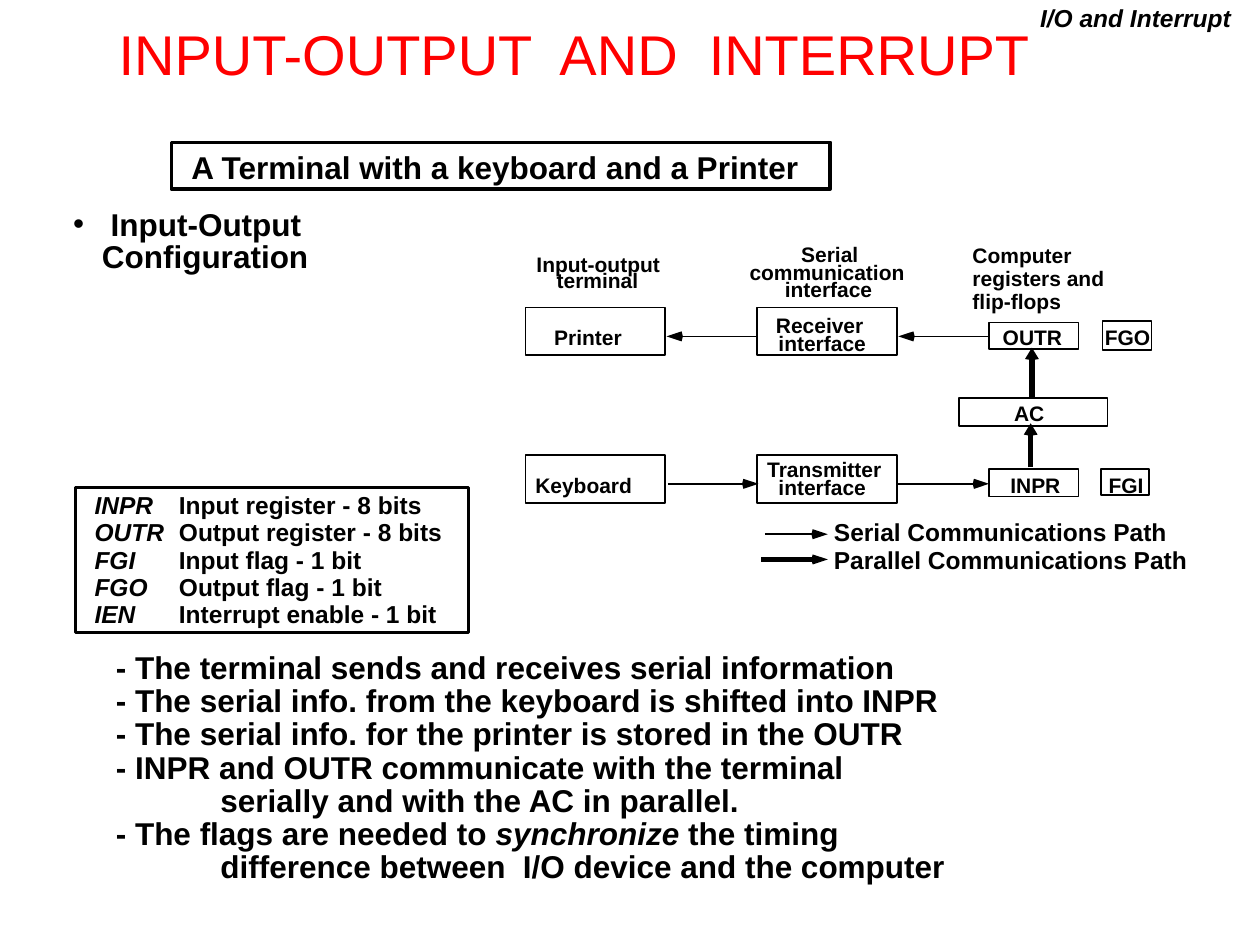
from dataclasses import dataclass
from math import hypot

from lxml import etree
from pptx import Presentation
from pptx.dml.color import RGBColor
from pptx.enum.shapes import MSO_CONNECTOR, MSO_SHAPE
from pptx.enum.text import MSO_AUTO_SIZE, PP_ALIGN
from pptx.oxml.ns import qn
from pptx.util import Inches, Pt

STRAIGHT = MSO_CONNECTOR.STRAIGHT
RECTANGLE = MSO_SHAPE.RECTANGLE
FIT_SHAPE = MSO_AUTO_SIZE.SHAPE_TO_FIT_TEXT
LEFT, CENTER, RIGHT = PP_ALIGN.LEFT, PP_ALIGN.CENTER, PP_ALIGN.RIGHT
COLORS = {"ink": "000000", "title": "FF0000"}
FONT = "Arial"


@dataclass(frozen=True)
class Span:
    text: str
    italic: bool = False


@dataclass(frozen=True)
class Line:
    spans: tuple[Span, ...]
    margin: float = 0
    indent: float = 0
    bullet: str = ""


@dataclass(frozen=True)
class TextBlock:
    lines: tuple[Line, ...]
    left: float
    top: float
    width: float
    height: float = 0.28
    size: int = 12
    color: str = "ink"
    bold: bool = True
    align: PP_ALIGN = LEFT
    spacing: float = 0.9
    inset: tuple[float, float] = (0.1, 0.05)
    wrap: bool = False


@dataclass(frozen=True)
class Frame:
    left: float
    top: float
    width: float
    height: float
    weight: float = 1


@dataclass(frozen=True)
class Arrow:
    start: tuple[float, float]
    tip: tuple[float, float]
    weight: float = 1
    head_length: float = 0.13
    head_width: float = 0.08


def plain(text: str, margin: float = 0) -> Line:
    return Line((Span(text),), margin)


def register(name: str, meaning: str) -> Line:
    return Line((Span(f"{name}\t", True), Span(meaning)), 0.67, -0.67)


def label(text: str, left: float, top: float, width: float, size: int = 12) -> TextBlock:
    return TextBlock((plain(text),), left, top, width, size=size)


def color_of(name: str) -> RGBColor:
    return RGBColor.from_string(COLORS[name])


def add_text(page, block: TextBlock) -> None:
    box = page.shapes.add_textbox(
        Inches(block.left), Inches(block.top), Inches(block.width), Inches(block.height)
    )
    frame = box.text_frame
    frame.word_wrap = block.wrap
    frame.auto_size = FIT_SHAPE
    frame.margin_left = frame.margin_right = Inches(block.inset[0])
    frame.margin_top = frame.margin_bottom = Inches(block.inset[1])
    for index, line in enumerate(block.lines):
        para = frame.add_paragraph() if index else frame.paragraphs[0]
        para.alignment = block.align
        para.line_spacing = block.spacing
        properties = para._p.get_or_add_pPr()
        properties.set("marL", str(Inches(line.margin)))
        properties.set("indent", str(Inches(line.indent)))
        if line.bullet:
            etree.SubElement(properties, qn("a:buFont")).set("typeface", FONT)
            etree.SubElement(properties, qn("a:buChar")).set("char", line.bullet)
        para.font.name = FONT
        para.font.size = Pt(block.size)
        para.font.bold = block.bold
        para.font.color.rgb = color_of(block.color)
        for span in line.spans:
            run = para.add_run()
            run.text = span.text
            if span.italic:
                run.font.italic = True


def add_frame(page, frame: Frame) -> None:
    box = page.shapes.add_shape(
        RECTANGLE, Inches(frame.left), Inches(frame.top), Inches(frame.width), Inches(frame.height)
    )
    box.shadow.inherit = False
    box.fill.background()
    box.line.color.rgb = color_of("ink")
    box.line.width = Pt(frame.weight)


def add_arrow(page, arrow: Arrow) -> None:
    (x1, y1), (x2, y2) = arrow.start, arrow.tip
    length = hypot(x2 - x1, y2 - y1)
    dx, dy = (x2 - x1) / length, (y2 - y1) / length

    def from_tip(back: float, side: float) -> tuple[int, int]:
        return Inches(x2 - back * dx - side * dy), Inches(y2 - back * dy + side * dx)

    shaft = page.shapes.add_connector(
        STRAIGHT, Inches(x1), Inches(y1), *from_tip(arrow.head_length - 0.02, 0)
    )
    shaft.line.color.rgb = color_of("ink")
    shaft.line.width = Pt(arrow.weight)
    etree.SubElement(shaft._element.spPr, qn("a:effectLst"))

    half, shoulder = arrow.head_width / 2, arrow.head_length - 0.01
    builder = page.shapes.build_freeform(*from_tip(0, 0), scale=1.0)
    builder.add_line_segments(
        [from_tip(shoulder, half), from_tip(arrow.head_length, 0), from_tip(shoulder, -half)],
        close=True,
    )
    head = builder.convert_to_shape()
    head.shadow.inherit = False
    head.fill.solid()
    head.fill.fore_color.rgb = color_of("ink")
    head.line.fill.background()


TIGHT = (0.07, 0.03)
TEXT_BLOCKS = [
    TextBlock((plain("INPUT-OUTPUT  AND  INTERRUPT"),), 0.38, 0.2, 8.36, 0.52, 32, "title",
              False, CENTER, 0.87, TIGHT, True),
    TextBlock((Line((Span("I/O and Interrupt", True),)),), 8.13, 0, 1.74, 0.31, 14, align=RIGHT),
    label("A Terminal with a keyboard and a Printer", 1.42, 1.16, 5.05, 18),
    TextBlock((Line((Span(" Input-Output Configuration"),), 0.23, -0.23, "•"),),
              0.51, 1.64, 3.4, 0.56, 18, spacing=0.85, inset=TIGHT, wrap=True),
    TextBlock((
        register("INPR", "Input register - 8 bits"),
        register("OUTR", "Output register - 8 bits"),
        register("FGI", "Input flag - 1 bit"),
        register("FGO", "Output flag - 1 bit"),
        register("IEN", "Interrupt enable - 1 bit"),
    ), 0.68, 3.88, 4.25, 1.14, 14, spacing=0.93, inset=TIGHT, wrap=True),
    TextBlock((
        plain("- The terminal sends and receives serial information"),
        plain("- The serial info. from the keyboard is shifted into INPR"),
        plain("- The serial info. for the printer is stored in the OUTR"),
        plain("- INPR and OUTR communicate with the terminal"),
        plain("serially and with the AC in parallel.", 0.83),
        Line((Span("- The flags are needed to "), Span("synchronize", True), Span(" the timing"))),
        plain("difference between  I/O device and the computer", 0.83),
    ), 0.85, 5.15, 6.74, 1.91, 18, spacing=0.88, inset=TIGHT, wrap=True),
    TextBlock((plain("Computer"), plain("registers and"), plain("flip-flops")),
              7.62, 1.9, 1.27, 0.82),
    label("Input-output", 4.16, 1.97, 1.2),
    label("terminal", 4.32, 2.1, 0.87),
    label("Serial", 6.26, 1.89, 0.68),
    label("communication", 5.85, 2.03, 1.45),
    label("interface", 6.13, 2.17, 0.92),
    label("Printer", 4.3, 2.55, 0.76),
    label("Keyboard", 4.15, 3.72, 0.99),
    label("Receiver", 6.06, 2.45, 0.92),
    label("interface", 6.08, 2.6, 0.92),
    label("Transmitter", 5.99, 3.6, 1.14),
    label("interface", 6.08, 3.74, 0.92),
    label("FGO", 8.67, 2.55, 0.58),
    label("OUTR", 7.86, 2.55, 0.69),
    label("AC", 7.95, 3.15, 0.46),
    label("INPR", 7.92, 3.72, 0.62),
    label("FGI", 8.7, 3.72, 0.5),
    label("Serial Communications Path", 6.52, 4.08, 2.88, 14),
    label("Parallel Communications Path", 6.52, 4.3, 3.04, 14),
]
FRAMES = [
    Frame(1.36, 1.13, 5.23, 0.37, 2),
    Frame(0.6, 3.87, 3.12, 1.15, 2),
    *(Frame(left, top, 1.11, 0.38) for left in (4.17, 6.01) for top in (2.44, 3.61)),
    Frame(7.85, 2.56, 0.71, 0.21),
    Frame(8.75, 2.55, 0.39, 0.23),
    Frame(7.61, 3.16, 1.18, 0.22),
    Frame(7.85, 3.72, 0.71, 0.22),
    Frame(8.74, 3.72, 0.38, 0.21),
]
ARROWS = [
    Arrow((6, 2.67), (5.29, 2.67)),
    Arrow((7.84, 2.67), (7.13, 2.67)),
    Arrow((5.3, 3.84), (6.02, 3.84)),
    Arrow((7.13, 3.84), (7.85, 3.84)),
    Arrow((8.19, 3.16), (8.19, 2.76), 3, 0.1, 0.11),
    Arrow((8.18, 3.71), (8.18, 3.36), 3, 0.1, 0.11),
    Arrow((6.07, 4.24), (6.57, 4.24)),
    Arrow((6.04, 4.44), (6.57, 4.44), 3),
]


def main() -> None:
    deck = Presentation()
    deck.slide_width, deck.slide_height = Inches(10), Inches(7.5)
    page = deck.slides.add_slide(deck.slide_layouts[6])
    for block in TEXT_BLOCKS:
        add_text(page, block)
    for frame in FRAMES:
        add_frame(page, frame)
    for arrow in ARROWS:
        add_arrow(page, arrow)
    deck.save("out.pptx")


if __name__ == "__main__":
    main()
